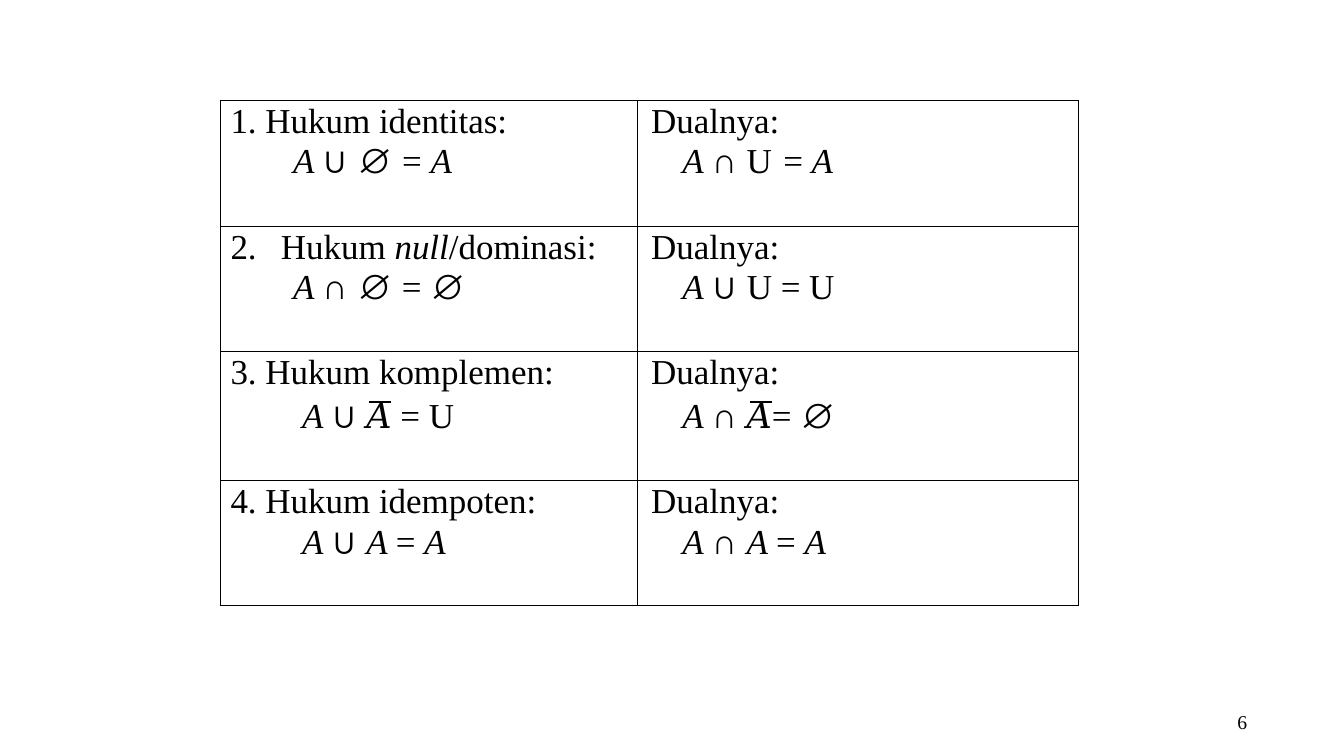
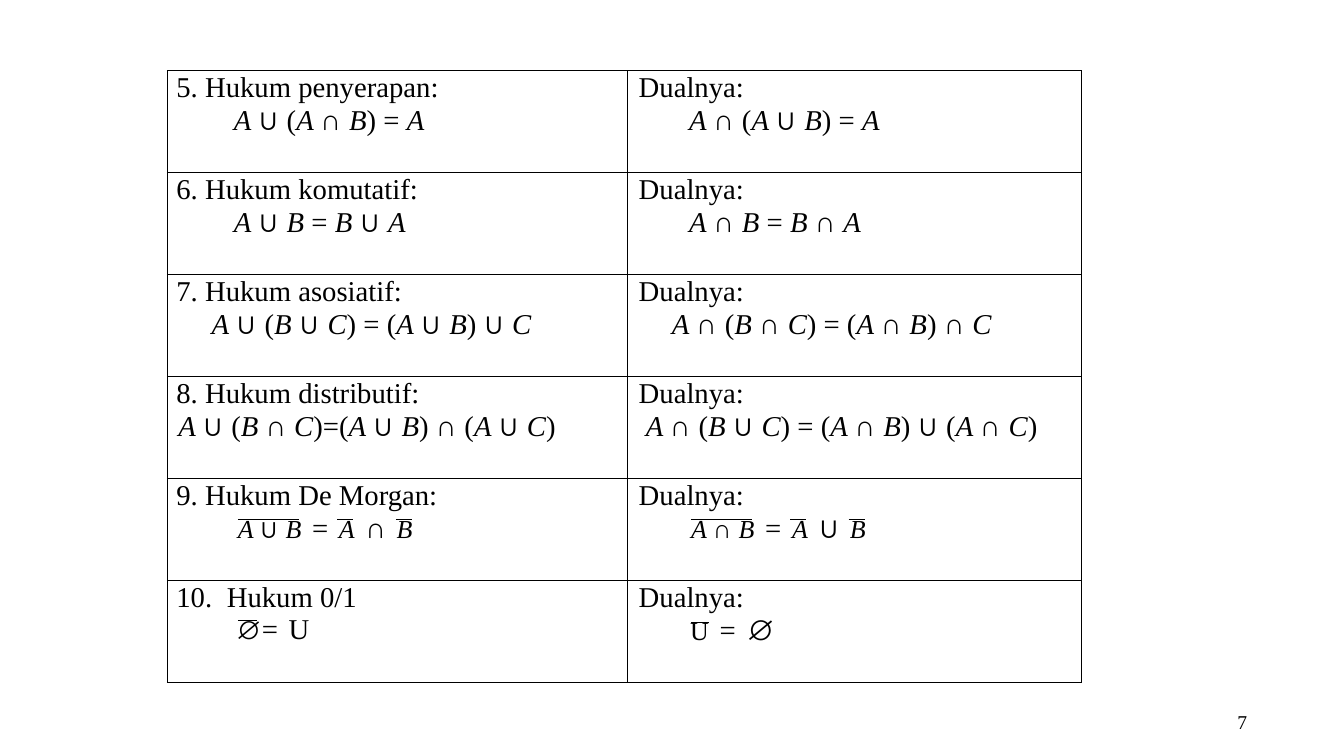
import dataclasses
import itertools

import pptx
import pptx.dml.color
import pptx.enum.shapes
import pptx.enum.text
import pptx.oxml
import pptx.oxml.ns
import pptx.util


@dataclasses.dataclass(frozen=True)
class Theme:
    ink: pptx.dml.color.RGBColor = pptx.dml.color.RGBColor(0, 0, 0)
    text_font: str = "Times New Roman"
    symbol_font: str = "Arial"
    number_size: float = 14
    border: float = 0.75
    wide_space: int = 250


theme = Theme()
presentation = pptx.Presentation()
presentation.slide_width = pptx.util.Inches(13.33)
presentation.slide_height = pptx.util.Inches(7.5)
column = presentation.slide_width / 100
row = presentation.slide_height / 100


def write(paragraph, text, size, small_size=None, formula=False):
    styled = []
    style = (theme.text_font, False, size, False)
    small = italic = False
    for letter in text:
        if letter == "|":
            small = not small
        elif letter == "_":
            italic = not italic
        else:
            wide = letter == " " and "|" in text and not small
            if letter != " " or wide or style[3]:
                style = (
                    theme.symbol_font if letter in "∪∩∅" else theme.text_font,
                    italic or formula and letter in "ABC",
                    small_size if small else size,
                    wide,
                )
            styled.append((style, letter))
    for (font, slanted, points, wide), letters in itertools.groupby(styled, key=lambda pair: pair[0]):
        run = paragraph.add_run()
        run.text = "".join(letter for _, letter in letters)
        run.font.name = font
        run.font.size = pptx.util.Pt(points)
        run.font.italic = slanted
        run.font.color.rgb = theme.ink
        if wide:
            run.font._element.set("spc", str(theme.wide_space))


def indent(paragraph, inches, tab=None):
    properties = paragraph._p.get_or_add_pPr()
    properties.set("marL", str(pptx.util.Inches(inches)))
    properties.set("indent", "0")
    if tab:
        properties.append(pptx.oxml.parse_xml(
            f'<a:tabLst {pptx.oxml.ns.nsdecls("a")}>'
            f'<a:tab pos="{pptx.util.Inches(tab)}" algn="l"/></a:tabLst>'))


pages = [
    dict(
        number="6", left=16.4, top=13.33, widths=(31, 32.85), heights=(16.67, 16.53, 17.1, 16.53),
        size=25, small=25, heading_line=28.9, gaps=(0.8, 0.8, 3.6, 0.9),
        heading_indents=(0.1, 0.14), heading_tab=0.63, formula_tab=1.54,
        bar_width=1.44, bars=[(27.45, 53.2, 1.65), (55.8, 53.2, 1.65)],
        laws=[
            ("1. Hukum identitas:", "A ∪ ∅ = A", 0.72, "A ∩ U\t= A", 0.45),
            ("2.\tHukum _null_/dominasi:", "A ∩ ∅ = ∅", 0.72, "A ∪ U = U", 0.45),
            ("3. Hukum komplemen:", "A ∪ 𝐴 = U", 0.81, "A ∩ 𝐴= ∅", 0.45),
            ("4. Hukum idempoten:", "A ∪ A = A", 0.81, "A ∩ A = A", 0.45),
        ],
    ),
    dict(
        number="7", left=12.45, top=9.33, widths=(34.25, 33.75), heights=(13.5,) * 6,
        size=20.5, small=18.5, heading_line=23.6, gaps=(0.5,) * 6,
        heading_indents=(0.09, 0.11), heading_tab=0.59, formula_tab=None,
        bar_width=0.58,
        bars=[(start + offset, 68.7, width) for start in (17.7, 51.4)
              for offset, width in ((0, 4.58), (7.4, 1.15), (11.75, 1.2))]
        + [(17.7, 82, 1.43), (51.4, 82.27, 1.35)],
        laws=[
            ("5. Hukum penyerapan:", "A ∪ (A ∩ B) = A", 0.66, "A ∩ (A ∪ B) = A", 0.61),
            ("6. Hukum komutatif:", "A ∪ B = B ∪ A", 0.66, "A ∩ B = B ∩ A", 0.61),
            ("7. Hukum asosiatif:", "A ∪ (B ∪ C) = (A ∪ B) ∪ C", 0.44, "A ∩ (B ∩ C) = (A ∩ B) ∩ C", 0.44),
            ("8. Hukum distributif:", "A ∪ (B ∩ C)=(A ∪ B) ∩ (A ∪ C)", 0.11,
             "A ∩ (B ∪ C) = (A ∩ B) ∪ (A ∩ C)", 0.18),
            ("9. Hukum De Morgan:", "|A ∪ B| = |A| ∩ |B|", 0.7, "|A ∩ B| = |A| ∪ |B|", 0.63),
            ("10.\tHukum 0/1", "|∅|= U", 0.68, "|U| = ∅", 0.62),
        ],
    ),
]

for page in pages:
    slide = presentation.slides.add_slide(presentation.slide_layouts[6])

    for left, top, width in page["bars"]:
        overline = slide.shapes.add_connector(
            pptx.enum.shapes.MSO_CONNECTOR.STRAIGHT,
            int(left * column), int(top * row), int((left + width) * column), int(top * row))
        overline.line.color.rgb = theme.ink
        overline.line.width = pptx.util.Pt(page["bar_width"])
        overline._element.spPr.append(
            pptx.oxml.parse_xml(f'<a:effectLst {pptx.oxml.ns.nsdecls("a")}/>'))

    table = slide.shapes.add_table(
        len(page["laws"]), 2, int(page["left"] * column), int(page["top"] * row),
        int(sum(page["widths"]) * column), int(sum(page["heights"]) * row)).table
    table.first_row = table.horz_banding = False
    for table_column, width in zip(table.columns, page["widths"]):
        table_column.width = int(width * column)

    for row_index, (title, formula, formula_indent, dual, dual_indent) in enumerate(page["laws"]):
        table.rows[row_index].height = int(page["heights"][row_index] * row)
        contents = [(title, formula, formula_indent), ("Dualnya:", dual, dual_indent)]
        for column_index, (heading, expression, expression_indent) in enumerate(contents):
            cell = table.cell(row_index, column_index)
            cell.margin_left = cell.margin_right = cell.margin_top = cell.margin_bottom = 0
            for side in ("lnL", "lnR", "lnT", "lnB"):
                cell._tc.get_or_add_tcPr().append(pptx.oxml.parse_xml(
                    f'<a:{side} {pptx.oxml.ns.nsdecls("a")} w="{pptx.util.Pt(theme.border)}">'
                    f'<a:solidFill><a:srgbClr val="{theme.ink}"/></a:solidFill></a:{side}>'))
            cell.fill.background()

            paragraph = cell.text_frame.paragraphs[0]
            paragraph.line_spacing = pptx.util.Pt(page["heading_line"])
            indent(paragraph, page["heading_indents"][column_index],
                   page["heading_tab"] if "\t" in heading else None)
            write(paragraph, heading, page["size"])

            paragraph = cell.text_frame.add_paragraph()
            paragraph.space_before = pptx.util.Pt(page["gaps"][row_index])
            indent(paragraph, expression_indent, page["formula_tab"] if "\t" in expression else None)
            write(paragraph, expression, page["size"], page["small"], formula=True)

    number_box = slide.shapes.add_textbox(
        int(90.6 * column), int(93.87 * row), int(2.2 * column), int(3.2 * row))
    frame = number_box.text_frame
    frame.word_wrap = True
    frame.vertical_anchor = pptx.enum.text.MSO_ANCHOR.MIDDLE
    frame.margin_left = frame.margin_right = frame.margin_top = frame.margin_bottom = 0
    paragraph = frame.paragraphs[0]
    paragraph.alignment = pptx.enum.text.PP_ALIGN.RIGHT
    paragraph.line_spacing = pptx.util.Pt(16.4)
    write(paragraph, page["number"], theme.number_size)

presentation.save("out.pptx")
